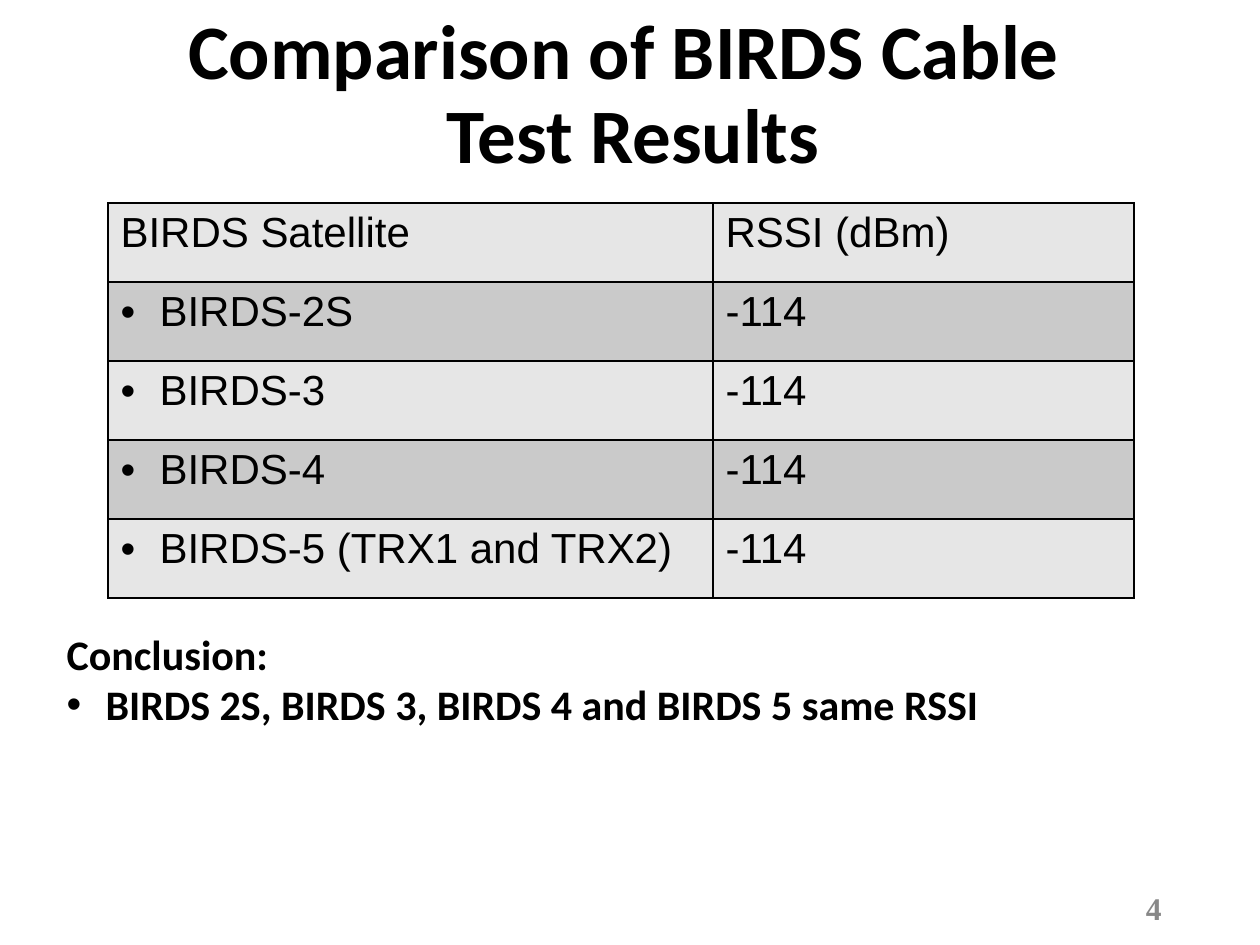
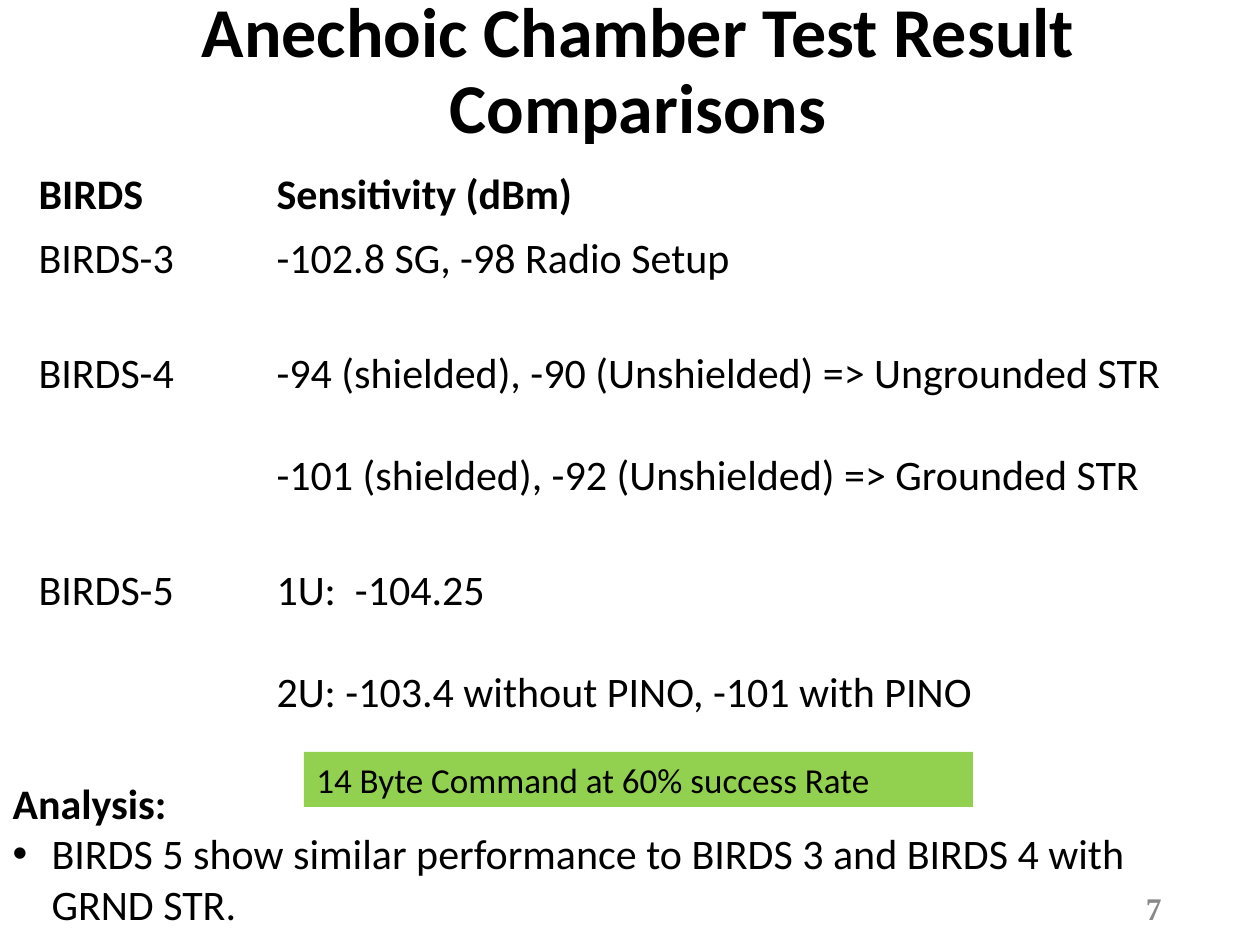
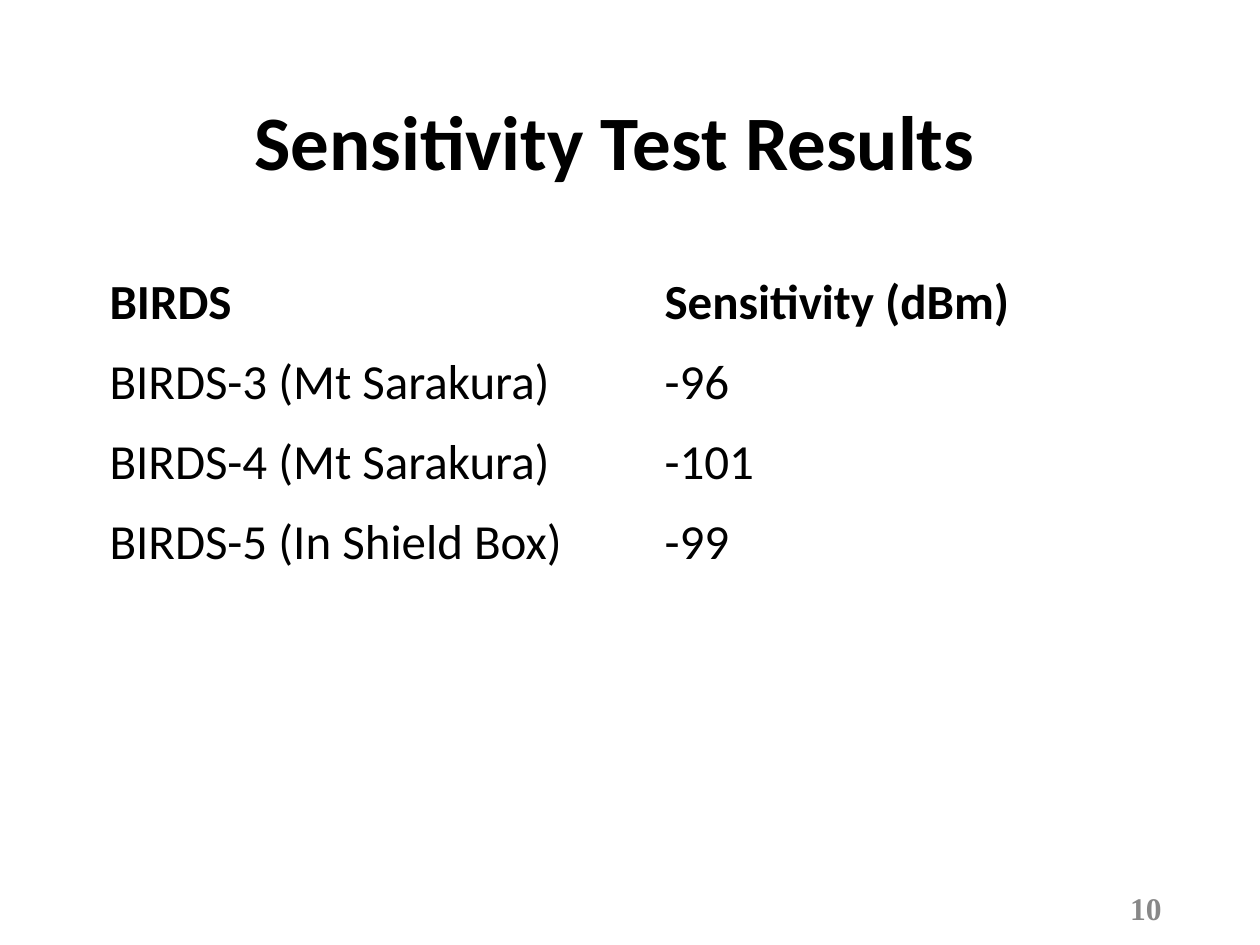
from dataclasses import dataclass

from lxml.etree import SubElement
from pptx import Presentation
from pptx.dml.color import RGBColor
from pptx.enum.shapes import MSO_SHAPE as Preset
from pptx.enum.text import MSO_ANCHOR as Anchor
from pptx.enum.text import MSO_AUTO_SIZE as AutoSize
from pptx.enum.text import PP_ALIGN as Align
from pptx.oxml.ns import qn
from pptx.slide import Slide
from pptx.util import Emu, Pt

# Shared look
PX_PER_INCH = 126
SLIDE_WIDTH, SLIDE_HEIGHT = 1260, 945
BLACK = RGBColor(0x00, 0x00, 0x00)
GREY = RGBColor(0x88, 0x88, 0x88)
LIGHT_BAND = RGBColor(0xE6, 0xE6, 0xE6)
DARK_BAND = RGBColor(0xCA, 0xCA, 0xCA)
GREEN = RGBColor(0x92, 0xD0, 0x50)
BODY_FONT, GRID_FONT, NUMBER_FONT = "Calibri", "Arial", "Times New Roman"
BULLET_INDENT = 39
NO_TABLE_STYLE = "{2D5ABB26-0587-4C30-8999-92F81FD0307C}"
TITLE_AND_BODY, TITLE_ONLY = 1, 5


def px(length: int) -> Emu:
    return Emu(round(length * 914400 / PX_PER_INCH))


@dataclass(frozen=True)
class Area:
    left: int
    top: int
    width: int
    height: int

    def emu(self) -> tuple[Emu, ...]:
        return px(self.left), px(self.top), px(self.width), px(self.height)


@dataclass(frozen=True)
class Style:
    size: int
    bold: bool = False
    font: str = BODY_FONT
    color: RGBColor = BLACK


@dataclass(frozen=True)
class Heading:
    lines: tuple[str, ...]
    area: Area
    size: int


@dataclass(frozen=True)
class Findings:
    label: str
    point: str
    area: Area
    point_bold: bool


@dataclass(frozen=True)
class Grid:
    left: int
    top: int
    columns: tuple[int, ...]
    heights: tuple[int, ...]
    rows: tuple[tuple[str, ...], ...]
    size: int
    font: str = BODY_FONT
    bold_header: bool = True
    ruled: bool = False  # borders, bands and bulleted first column


NUMBER_AREA = Area(890, 883, 284, 50)


# Text helpers
def add_span(para, text: str, style: Style) -> None:
    span = para.add_run()
    span.text = text
    span.font.size = Pt(style.size)
    span.font.bold = style.bold
    span.font.name = style.font
    span.font.color.rgb = style.color


def set_bullet(para, shown: bool) -> None:
    properties = para._p.get_or_add_pPr()
    indent = px(BULLET_INDENT) if shown else 0
    properties.set("marL", str(indent))
    properties.set("indent", str(-indent))
    if shown:
        color = SubElement(properties, qn("a:buClr"))
        SubElement(color, qn("a:srgbClr")).set("val", str(BLACK))
        SubElement(properties, qn("a:buFont")).set("typeface", GRID_FONT)
        SubElement(properties, qn("a:buChar")).set("char", "•")
    else:
        SubElement(properties, qn("a:buNone"))


def place(shape, area: Area) -> None:
    shape.left, shape.top, shape.width, shape.height = area.emu()


# Slide parts
def draw_title(page: Slide, heading: Heading) -> None:
    box = page.shapes.title
    place(box, heading.area)
    frame = box.text_frame
    frame.auto_size = AutoSize.NONE
    frame.vertical_anchor = Anchor.MIDDLE
    para = frame.paragraphs[0]
    para.alignment = Align.CENTER
    para.line_spacing = 0.9
    for index, line in enumerate(heading.lines):
        if index:
            para.add_line_break()
        add_span(para, line, Style(heading.size, bold=True))


def draw_number(page: Slide, number: int) -> None:
    frame = page.shapes.add_textbox(*NUMBER_AREA.emu()).text_frame
    frame.word_wrap = True
    frame.vertical_anchor = Anchor.MIDDLE
    para = frame.paragraphs[0]
    para.alignment = Align.RIGHT
    add_span(para, str(number), Style(18, True, NUMBER_FONT, GREY))


def draw_findings(page: Slide, findings: Findings) -> None:
    box = page.placeholders[1]
    place(box, findings.area)
    frame = box.text_frame
    frame.auto_size = AutoSize.SHAPE_TO_FIT_TEXT
    label, point = frame.paragraphs[0], frame.add_paragraph()
    for para, bulleted in ((label, False), (point, True)):
        para.space_before = Pt(0)
        set_bullet(para, bulleted)
    add_span(label, findings.label, Style(24, bold=True))
    add_span(point, findings.point, Style(24, findings.point_bold))


def add_borders(cell) -> None:
    properties = cell._tc.get_or_add_tcPr()
    for side in ("lnL", "lnR", "lnT", "lnB"):
        line = SubElement(properties, qn(f"a:{side}"))
        line.set("w", str(Pt(1)))
        fill = SubElement(line, qn("a:solidFill"))
        SubElement(fill, qn("a:srgbClr")).set("val", str(BLACK))


def draw_cell(cell, grid: Grid, row: int, column: int) -> None:
    if grid.ruled:
        add_borders(cell)
        cell.fill.solid()
        cell.fill.fore_color.rgb = DARK_BAND if row % 2 else LIGHT_BAND
    else:
        cell.fill.background()
    style = Style(grid.size, grid.bold_header and row == 0, grid.font)
    for index, line in enumerate(grid.rows[row][column].split("\n")):
        if index:
            para = cell.text_frame.add_paragraph()
            para.space_before = Pt(29.3)  # one line of 24 pt text
        else:
            para = cell.text_frame.paragraphs[0]
        if grid.ruled and row and column == 0:
            set_bullet(para, True)
        add_span(para, line, style)


def draw_grid(page: Slide, grid: Grid) -> None:
    area = Area(grid.left, grid.top, sum(grid.columns), sum(grid.heights))
    table = page.shapes.add_table(
        len(grid.heights), len(grid.columns), *area.emu()
    ).table
    table.first_row = table.horz_banding = False
    table._tbl.tblPr.find(qn("a:tableStyleId")).text = NO_TABLE_STYLE
    for column, width in enumerate(grid.columns):
        table.columns[column].width = px(width)
    for row, height in enumerate(grid.heights):
        table.rows[row].height = px(height)
        for column in range(len(grid.columns)):
            draw_cell(table.cell(row, column), grid, row, column)


def draw_note(page: Slide, text: str, area: Area) -> None:
    box = page.shapes.add_shape(Preset.RECTANGLE, *area.emu())
    box.shadow.inherit = False
    box.fill.solid()
    box.fill.fore_color.rgb = GREEN
    box.line.fill.background()
    box.text_frame.word_wrap = True
    box.text_frame.vertical_anchor = Anchor.TOP
    para = box.text_frame.paragraphs[0]
    para.alignment = Align.LEFT
    add_span(para, text, Style(20))


def add_page(deck, layout: int, number: int, heading: Heading, grid: Grid) -> Slide:
    page = deck.slides.add_slide(deck.slide_layouts[layout])
    draw_title(page, heading)
    draw_number(page, number)
    draw_grid(page, grid)
    return page


# Slides
def add_cable_page(deck) -> None:
    satellites = ("BIRDS-2S", "BIRDS-3", "BIRDS-4", "BIRDS-5 (TRX1 and TRX2)")
    heading = Heading(
        ("Comparison of BIRDS Cable ", "Test Results"), Area(29, 39, 1208, 115), 44
    )
    grid = Grid(
        108, 203, (605, 421), (79,) * 5,
        (("BIRDS Satellite", "RSSI (dBm)"), *((name, "-114") for name in satellites)),
        24, GRID_FONT, bold_header=False, ruled=True,
    )
    page = add_page(deck, TITLE_AND_BODY, 4, heading, grid)
    draw_findings(page, Findings(
        "Conclusion:", "BIRDS 2S, BIRDS 3, BIRDS 4 and BIRDS 5 same RSSI",
        Area(54, 622, 1133, 115), point_bold=True,
    ))


def add_chamber_page(deck) -> None:
    heading = Heading(
        ("Anechoic Chamber Test Result Comparisons",), Area(47, 40, 1182, 66), 40
    )
    grid = Grid(
        26, 163, (238, 984), (64, 115, 217, 182),
        (
            ("BIRDS", "Sensitivity (dBm)"),
            ("BIRDS-3", "-102.8 SG, -98 Radio Setup"),
            ("BIRDS-4", "-94 (shielded), -90 (Unshielded) => Ungrounded STR\n"
                        "-101 (shielded), -92 (Unshielded) => Grounded STR"),
            ("BIRDS-5", "1U:  -104.25\n2U: -103.4 without PINO, -101 with PINO"),
        ),
        24,
    )
    page = add_page(deck, TITLE_AND_BODY, 7, heading, grid)
    draw_note(page, "14 Byte Command at 60% success Rate", Area(304, 752, 669, 55))
    draw_findings(page, Findings(
        "Analysis:",
        "BIRDS 5 show similar performance to BIRDS 3 and BIRDS 4 with GRND STR.",
        Area(0, 771, 1142, 165), point_bold=False,
    ))


def add_sensitivity_page(deck) -> None:
    heading = Heading(("Sensitivity Test Results",), Area(24, 88, 1182, 115), 44)
    grid = Grid(
        97, 267, (555, 555), (80, 80, 80, 130),
        (
            ("BIRDS", "Sensitivity (dBm)"),
            ("BIRDS-3 (Mt Sarakura)", "-96"),
            ("BIRDS-4 (Mt Sarakura)", "-101"),
            ("BIRDS-5 (In Shield Box)", "-99"),
        ),
        28,
    )
    add_page(deck, TITLE_ONLY, 10, heading, grid)


def main() -> None:
    deck = Presentation()
    deck.slide_width, deck.slide_height = px(SLIDE_WIDTH), px(SLIDE_HEIGHT)
    add_cable_page(deck)
    add_chamber_page(deck)
    add_sensitivity_page(deck)
    deck.save("out.pptx")


if __name__ == "__main__":
    main()
